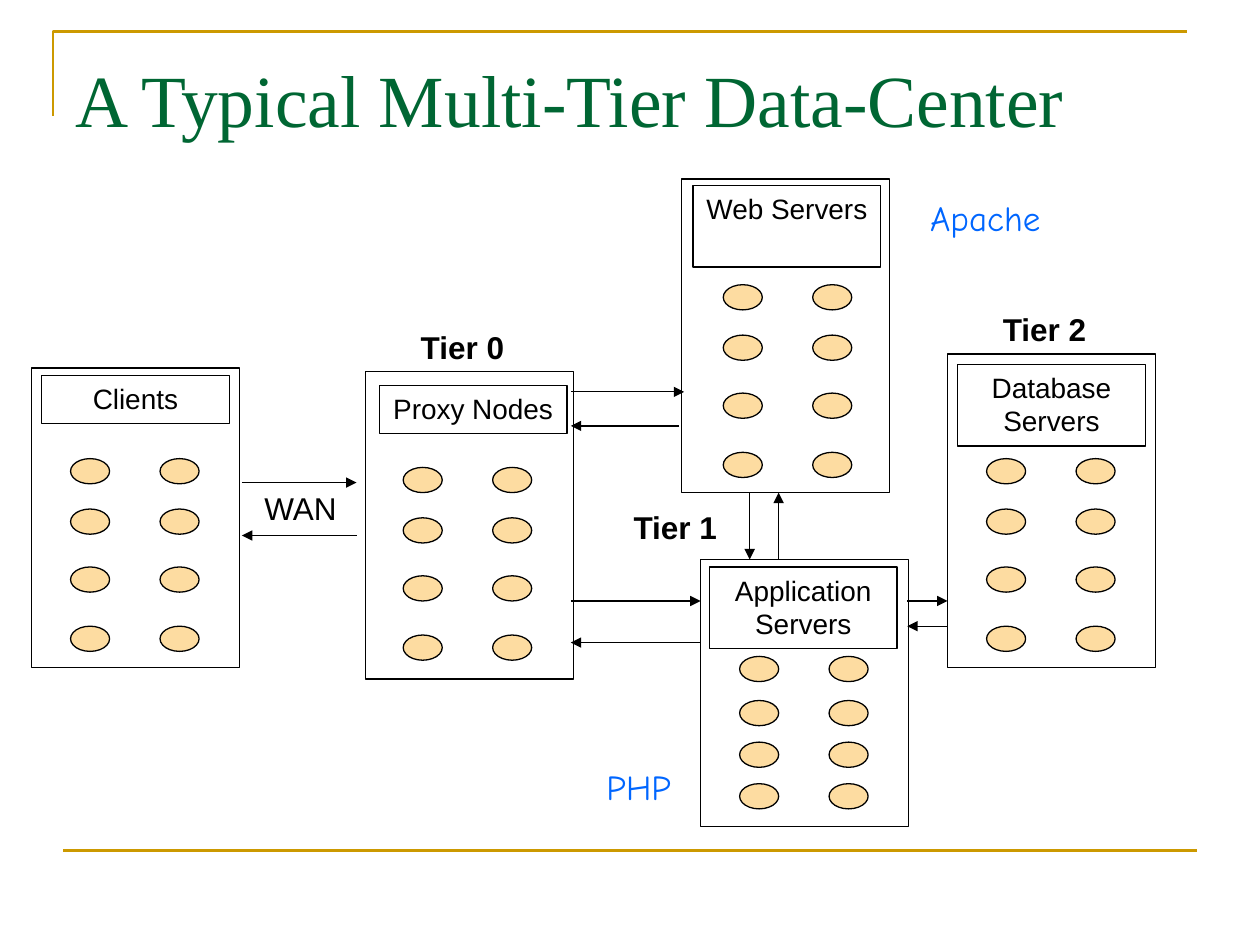
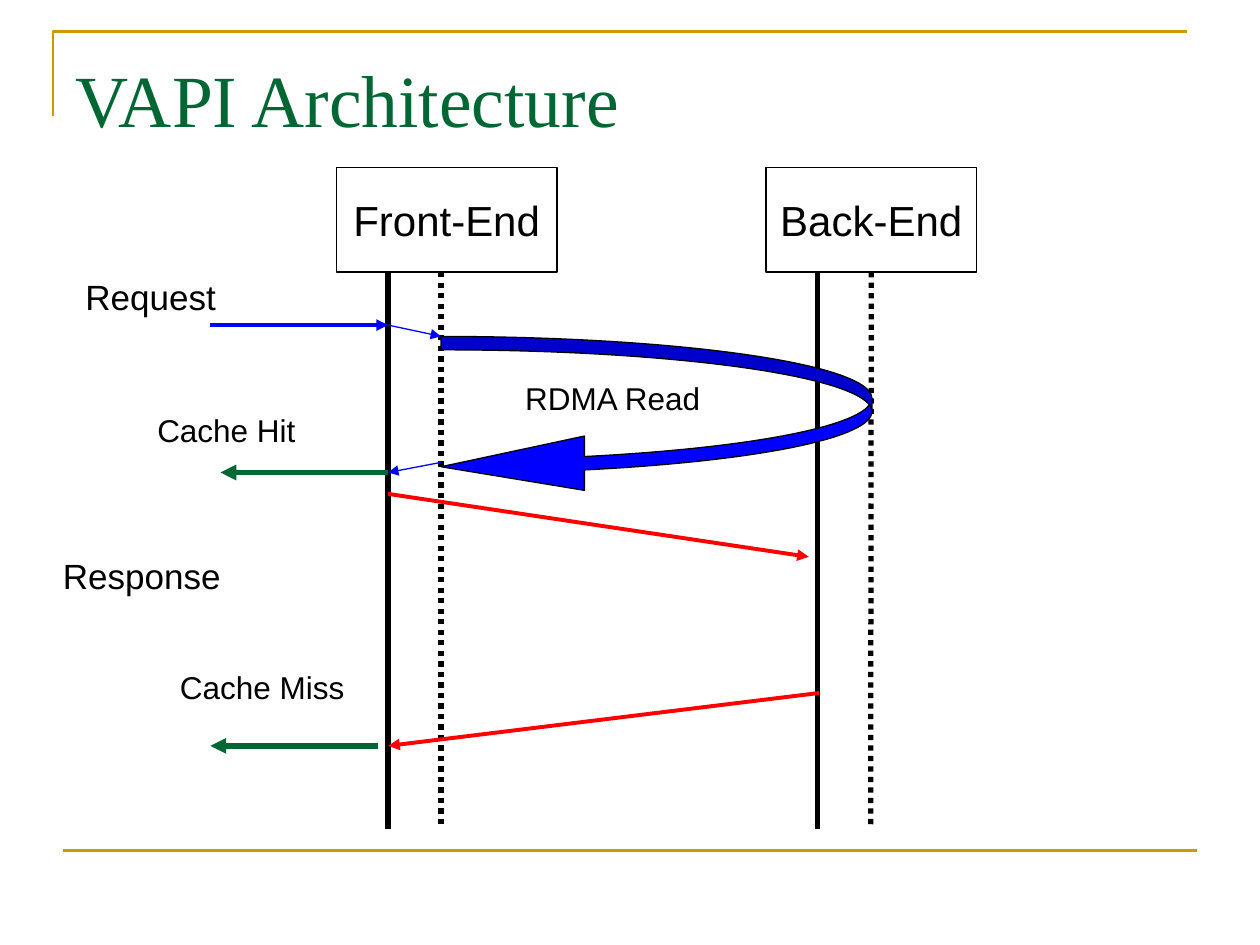
from lxml.etree import SubElement
from pptx import Presentation
from pptx.dml.color import RGBColor
from pptx.enum.dml import MSO_LINE
from pptx.enum.shapes import MSO_CONNECTOR, MSO_SHAPE
from pptx.enum.text import MSO_ANCHOR as ANCHOR, PP_ALIGN as ALIGN
from pptx.oxml.ns import qn
from pptx.util import Inches, Pt

COLORS = {
    "gold": "CC9900", "green": "006633", "black": "000000", "white": "FFFFFF",
    "node": "FDDCA1", "note": "0066FF", "blue": "0000FF", "red": "FF0000",
}
WIDE_ROWS = (0, 0.4, 0.86, 1.33)
TIGHT_ROWS = (0, 0.35, 0.68, 1.01)
TIERS = [
    ("Database Servers", (7.52, 2.81, 1.65, 2.49), (0.08, 0.08), 0.65, (0.31, 0.83), WIDE_ROWS),
    ("Clients", (0.25, 2.92, 1.65, 2.38), (0.08, 0.06), 0.38, (0.31, 0.72), WIDE_ROWS),
    ("Application Servers", (5.56, 4.44, 1.65, 2.12), (0.07, 0.06), 0.65, (0.31, 0.77), TIGHT_ROWS),
    ("Web Servers", (5.41, 1.42, 1.65, 2.49), (0.09, 0.05), 0.65, (0.33, 0.84), WIDE_ROWS),
    ("Proxy Nodes", (2.9, 2.95, 1.65, 2.44), (0.11, 0.11), 0.38, (0.3, 0.76), WIDE_ROWS),
]
TIER_ARROWS = [
    ((1.92, 3.83), (2.83, 3.83)), ((2.83, 4.25), (1.92, 4.25)),
    ((4.53, 3.11), (5.43, 3.11)), ((5.39, 3.38), (4.53, 3.38)),
    ((4.53, 4.77), (5.56, 4.77)), ((5.56, 5.1), (4.53, 5.1)),
    ((5.95, 3.91), (5.95, 4.44)), ((6.18, 4.44), (6.18, 3.91)),
    ((7.2, 4.77), (7.52, 4.77)), ((7.52, 4.97), (7.2, 4.97)),
]
MESSAGES = [
    ((1.67, 2.58), (3.08, 2.58), "blue", 2.25),
    ((3.08, 2.58), (3.5, 2.67), "blue", 0.75),
    ((3.5, 3.67), (3.08, 3.75), "blue", 0.75),
    ((3.08, 3.75), (1.75, 3.75), "green", 3),
    ((3.08, 3.92), (6.42, 4.42), "red", 2.25),
    ((6.5, 5.5), (3.08, 5.92), "red", 2.25),
    ((3, 5.92), (1.67, 5.92), "green", 3),
]
MESSAGE_LABELS = [
    ("Request", (0.58, 2.14, 1.24, 0.43), 20),
    ("Cache Hit", (1.15, 3.21, 1.3, 0.4), 18),
    ("Cache Miss", (1.33, 5.25, 1.51, 0.4), 18),
    ("Response", (0.4, 4.35, 1.45, 0.43), 20),
    ("RDMA Read", (4.07, 2.96, 1.6, 0.4), 18),
]


def color(name):
    """Return the named palette colour."""
    return RGBColor.from_string(COLORS[name])


def write(shape, text, size, font="Arial", ink="black", bold=False,
          align=ALIGN.LEFT, anchor=ANCHOR.TOP, wrap=False):
    """Put one styled paragraph into a shape."""
    frame = shape.text_frame
    frame.word_wrap = wrap
    frame.vertical_anchor = anchor
    paragraph = frame.paragraphs[0]
    paragraph.text = text
    paragraph.alignment = align
    paragraph.font.name = font
    paragraph.font.size = Pt(size)
    paragraph.font.bold = bold
    paragraph.font.color.rgb = color(ink)


def add_label(slide, text, box, size, **style):
    """Add a text box with one paragraph."""
    label = slide.shapes.add_textbox(*map(Inches, box))
    write(label, text, size, **style)
    return label


def outline(shape, fill=None, ink="black", width=0.75):
    """Set a shape's fill and line and remove its shadow."""
    shape.shadow.inherit = False
    if fill:
        shape.fill.solid()
        shape.fill.fore_color.rgb = color(fill)
    else:
        shape.fill.background()
    shape.line.color.rgb = color(ink)
    shape.line.width = Pt(width)


def add_figure(slide, kind, box, fill=None):
    """Add an outlined preset shape."""
    shape = slide.shapes.add_shape(kind, *map(Inches, box))
    outline(shape, fill)
    return shape


def add_line(slide, start, end, ink="black", width=0.75, arrow=False, dash=None):
    """Add a straight line, optionally dashed or with an arrowhead."""
    line = slide.shapes.add_connector(MSO_CONNECTOR.STRAIGHT, *map(Inches, (*start, *end)))
    line.line.color.rgb = color(ink)
    line.line.width = Pt(width)
    if dash:
        line.line.dash_style = dash
    properties = line.element.spPr
    if arrow:
        SubElement(properties.find(qn("a:ln")), qn("a:tailEnd"), type="triangle")
    SubElement(properties, qn("a:effectLst"))
    return line


def add_titled_slide(presentation, title):
    """Add a slide with the shared frame, footer rule and title."""
    slide = presentation.slides.add_slide(presentation.slide_layouts[6])
    builder = slide.shapes.build_freeform(Inches(0.42), Inches(0.92))
    corners = [(0.42, 0.25), (9.42, 0.25)]
    builder.add_line_segments([tuple(map(Inches, corner)) for corner in corners], close=False)
    outline(builder.convert_to_shape(), ink="gold", width=1.5)
    add_line(slide, (0.5, 6.75), (9.5, 6.75), "gold", 1.5)
    heading = add_label(slide, title, (0.5, 0.3, 9, 1.25), 42,
                        font="Times New Roman", ink="green", wrap=True)
    heading.text_frame.margin_top = Inches(0.13)
    return slide


def add_tier(slide, name, box, label_offset, label_height, node_offset, rows):
    """Draw a group of server nodes inside its box, under a name plate."""
    left, top = box[:2]
    add_figure(slide, MSO_SHAPE.RECTANGLE, box)
    plate_box = (left + label_offset[0], top + label_offset[1], 1.49, label_height)
    plate = add_figure(slide, MSO_SHAPE.RECTANGLE, plate_box, "white")
    write(plate, name, 16, align=ALIGN.CENTER, wrap=True)
    for column in range(2):
        for row in rows:
            node_left = left + node_offset[0] + 0.71 * column
            node_top = top + node_offset[1] + row
            add_figure(slide, MSO_SHAPE.OVAL, (node_left, node_top, 0.31, 0.2), "node")


def add_lifelines(slide, name, box):
    """Draw a header box with a solid and a dotted line hanging from it."""
    left, top, _, height = box
    header = add_figure(slide, MSO_SHAPE.RECTANGLE, box)
    write(header, name, 24, align=ALIGN.CENTER, anchor=ANCHOR.MIDDLE)
    lines = []
    for offset, dash in ((0.41, None), (0.83, MSO_LINE.ROUND_DOT)):
        x = left + offset
        lines.append(add_line(slide, (x, top + height), (x, 6.58), width=3, dash=dash))
    return header, lines[1]


def build_data_center(presentation):
    """Build the multi-tier data-center slide."""
    slide = add_titled_slide(presentation, "A Typical Multi-Tier Data-Center")
    for tier in TIERS:
        add_tier(slide, *tier)
    for start, end in TIER_ARROWS:
        add_line(slide, start, end, arrow=True)
    for number, (left, top) in enumerate([(3.12, 2.65), (4.81, 4.08), (7.74, 2.51)]):
        add_label(slide, f"Tier {number}", (left, top, 1.1, 0.2), 18, bold=True,
                  align=ALIGN.CENTER, anchor=ANCHOR.MIDDLE)
    for text, box in (("Apache", (7.09, 1.51, 1.46, 0.43)), ("PHP", (4.64, 6.03, 0.86, 0.43))):
        add_label(slide, text, box, 20, font="Comic Neue", ink="note",
                  align=ALIGN.CENTER, wrap=True)
    add_label(slide, "WAN", (2, 3.83, 0.78, 0.4), 18)


def build_architecture(presentation):
    """Build the message sequence slide."""
    slide = add_titled_slide(presentation, "VAPI Architecture")
    add_lifelines(slide, "Front-End", (2.67, 1.33, 1.75, 0.83))
    back_end, dotted_line = add_lifelines(slide, "Back-End", (6.08, 1.33, 1.67, 0.83))
    dotted_line.begin_connect(back_end, 2)
    for start, end, ink, width in MESSAGES:
        add_line(slide, start, end, ink, width, arrow=True)
    rdma_read = add_figure(slide, MSO_SHAPE.CURVED_LEFT_ARROW, (3.5, 2.67, 3.42, 1.25), "blue")
    for index, value in enumerate((0.085, 0.345, 0.911)):
        rdma_read.adjustments[index] = value
    for text, box, size in MESSAGE_LABELS:
        add_label(slide, text, box, size)


def main():
    """Build and save the presentation."""
    presentation = Presentation()
    presentation.slide_width = Inches(10)
    presentation.slide_height = Inches(7.5)
    build_data_center(presentation)
    build_architecture(presentation)
    presentation.save("out.pptx")


if __name__ == "__main__":
    main()
